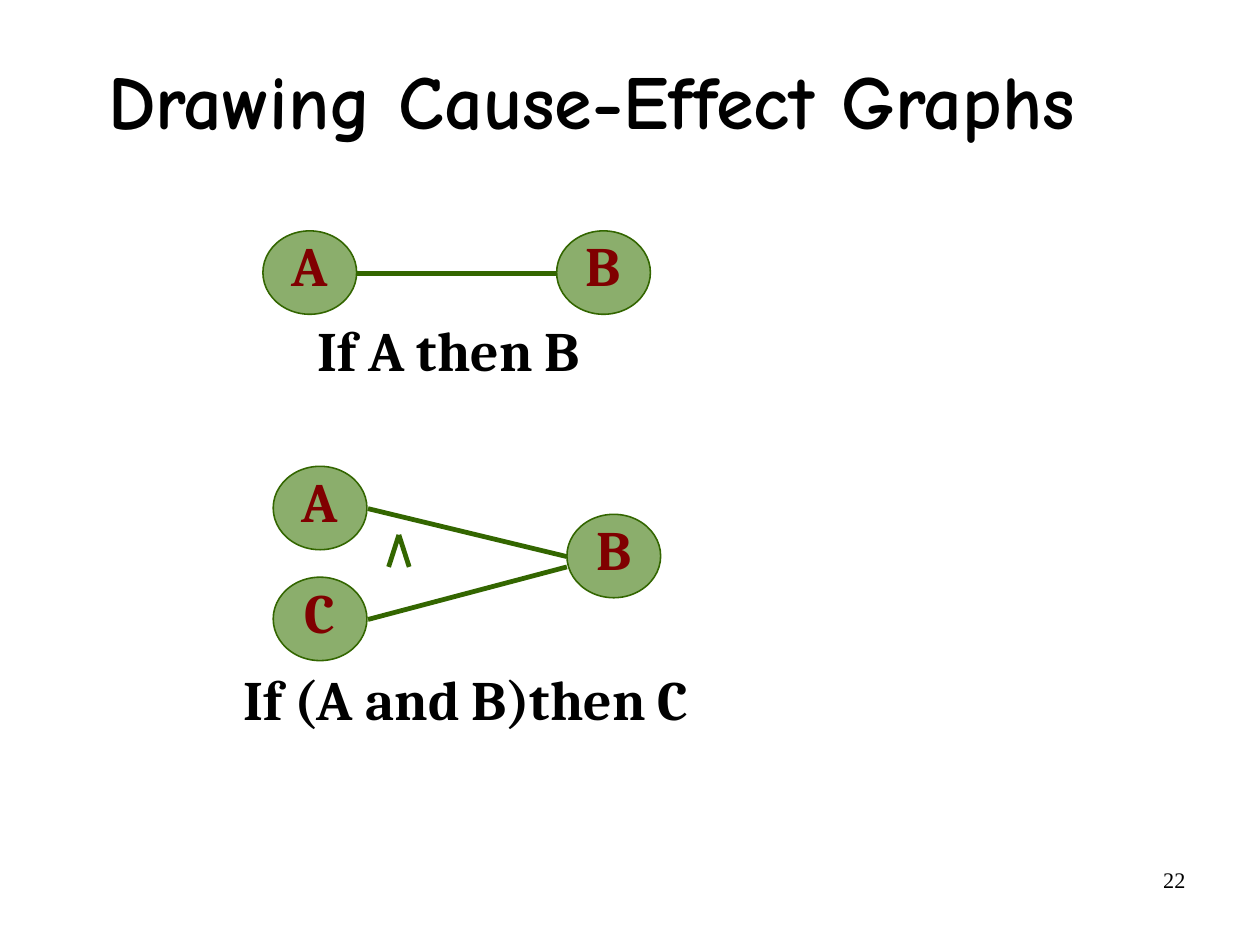
"""Build the slide on drawing cause-effect graphs."""
from dataclasses import dataclass

import pptx
import pptx.dml.color
import pptx.enum.shapes
import pptx.enum.text
import pptx.oxml.ns
import pptx.slide
import pptx.text.text
import pptx.util
from lxml import etree

Inches = pptx.util.Inches
Pt = pptx.util.Pt
RGBColor = pptx.dml.color.RGBColor
ALIGN = pptx.enum.text.PP_ALIGN
ANCHOR = pptx.enum.text.MSO_ANCHOR

BLACK = RGBColor(0x00, 0x00, 0x00)
MAROON = RGBColor(0x80, 0x00, 0x00)
SAGE = RGBColor(0x8B, 0xAE, 0x6C)
GREEN = RGBColor(0x33, 0x66, 0x00)
CM_PER_INCH = 2.54
SLIDE_W, SLIDE_H = 28 / CM_PER_INCH, 21 / CM_PER_INCH
NODE_W, NODE_H = 0.82, 0.73


@dataclass(frozen=True)
class Style:
    font: str
    size: float
    color: RGBColor = BLACK
    bold: bool = True
    align: ALIGN = ALIGN.LEFT
    anchor: ANCHOR = ANCHOR.TOP
    spacing: float = 1.0
    inset_x: float = 0.02
    inset_y: float = 0.06


@dataclass(frozen=True)
class Label:
    text: str
    left: float
    top: float
    width: float
    height: float
    style: Style


@dataclass(frozen=True)
class Node:
    text: str
    left: float
    top: float


@dataclass(frozen=True)
class Edge:
    x1: float
    y1: float
    x2: float
    y2: float


TITLE = Style("Comic Neue", 48, align=ALIGN.CENTER, anchor=ANCHOR.MIDDLE, spacing=0.94)
CAPTION = Style("Cambria", 35, spacing=0.72)
NODE = Style("Cambria", 35, MAROON, align=ALIGN.CENTER, anchor=ANCHOR.MIDDLE, spacing=0.72)
NUMBER = Style("Times New Roman", 14, bold=False, align=ALIGN.RIGHT, inset_x=0.1, inset_y=0.05)

LABELS = [
    Label("22", 7.9, 7.53, 2.57, 0.57, NUMBER),
    Label("Drawing Cause-Effect Graphs", 0.49, 0.22, 9.37, 1.37, TITLE),
    Label("If A then B", 2.76, 2.85, 3.67, 0.69, CAPTION),
    Label("If (A and B)then C", 2.11, 5.91, 4.77, 0.69, CAPTION),
]
NODES = [
    Node("A", 2.3, 2.02),
    Node("B", 4.87, 2.02),
    Node("A", 2.39, 4.08),
    Node("B", 4.96, 4.5),
    Node("C", 2.39, 5.05),
]
EDGES = [
    Edge(3.12, 2.39, 4.87, 2.39),
    Edge(3.22, 4.45, 4.96, 4.87),
    Edge(3.22, 5.42, 4.96, 4.96),
    Edge(3.4, 4.96, 3.49, 4.68),
    Edge(3.58, 4.96, 3.49, 4.68),
]


def write_text(tf: pptx.text.text.TextFrame, text: str, style: Style) -> None:
    """Fill a text frame with one styled paragraph."""
    tf.word_wrap = True
    tf.vertical_anchor = style.anchor
    tf.margin_left = tf.margin_right = Inches(style.inset_x)
    tf.margin_top = tf.margin_bottom = Inches(style.inset_y)
    p = tf.paragraphs[0]
    p.text = text
    p.alignment = style.align
    p.line_spacing = style.spacing
    p.font.name = style.font
    p.font.size = Pt(style.size)
    p.font.bold = style.bold
    p.font.color.rgb = style.color


def add_label(s: pptx.slide.Slide, label: Label) -> None:
    """Add a text box."""
    box = s.shapes.add_textbox(
        Inches(label.left), Inches(label.top), Inches(label.width), Inches(label.height)
    )
    write_text(box.text_frame, label.text, label.style)


def add_node(s: pptx.slide.Slide, node: Node) -> None:
    """Add a lettered graph node."""
    sp = s.shapes.add_shape(
        pptx.enum.shapes.MSO_SHAPE.OVAL,
        Inches(node.left), Inches(node.top), Inches(NODE_W), Inches(NODE_H),
    )
    sp.shadow.inherit = False
    sp.fill.solid()
    sp.fill.fore_color.rgb = SAGE
    sp.line.color.rgb = GREEN
    sp.line.width = Pt(1)
    write_text(sp.text_frame, node.text, NODE)


def add_edge(s: pptx.slide.Slide, edge: Edge) -> None:
    """Add a straight graph line."""
    line = s.shapes.add_connector(
        pptx.enum.shapes.MSO_CONNECTOR.STRAIGHT,
        Inches(edge.x1), Inches(edge.y1), Inches(edge.x2), Inches(edge.y2),
    )
    line.line.color.rgb = GREEN
    line.line.width = Pt(3)
    etree.SubElement(line._element.spPr, pptx.oxml.ns.qn("a:effectLst"))


def main() -> None:
    """Build and save the presentation."""
    prs = pptx.Presentation()
    prs.slide_width = Inches(SLIDE_W)
    prs.slide_height = Inches(SLIDE_H)
    s = prs.slides.add_slide(prs.slide_layouts[6])
    for label in LABELS:
        add_label(s, label)
    for node in NODES:
        add_node(s, node)
    for edge in EDGES:
        add_edge(s, edge)
    prs.save("out.pptx")


if __name__ == "__main__":
    main()
